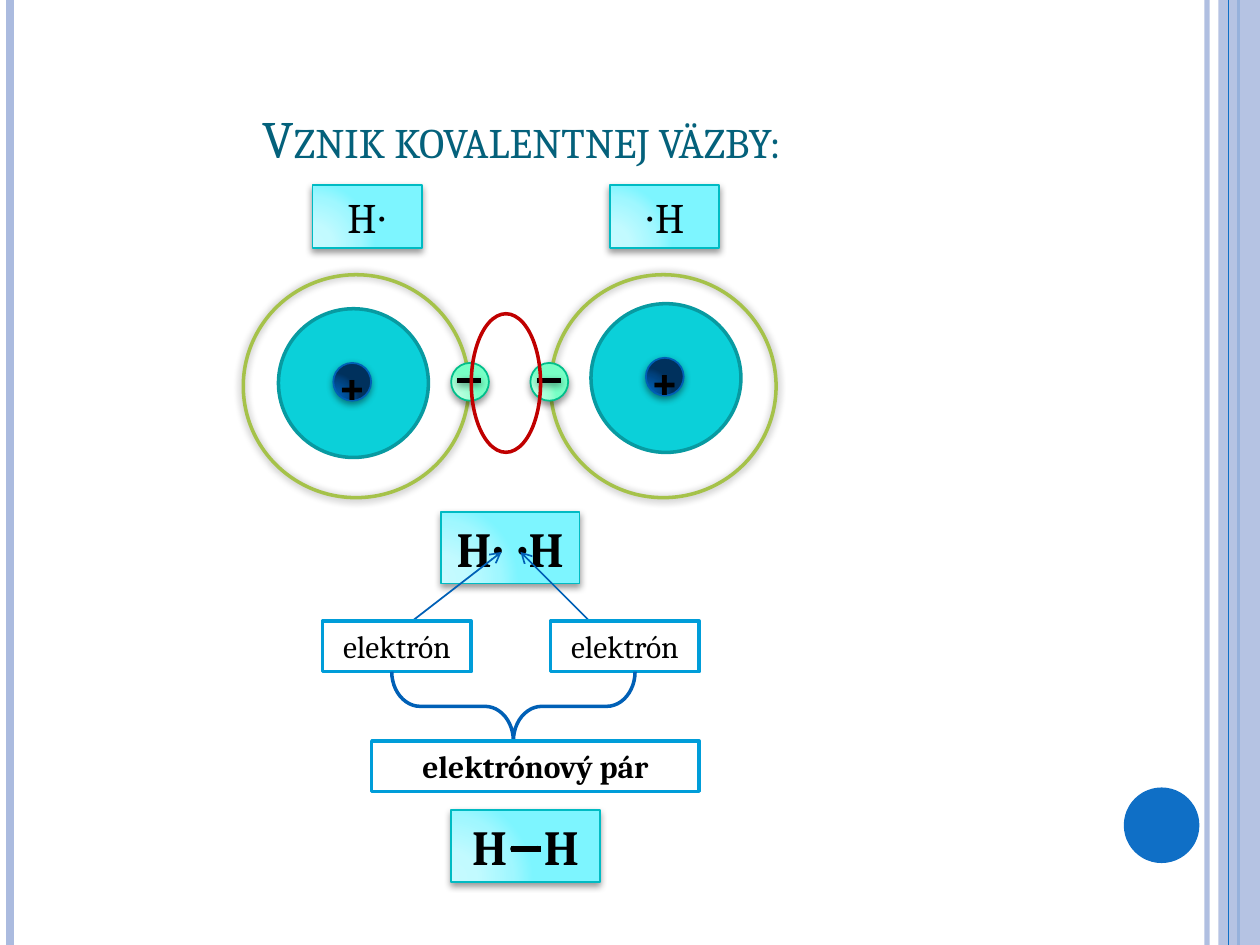
from dataclasses import dataclass
from typing import Any, NamedTuple

from pptx import Presentation
from pptx.dml.color import RGBColor
from pptx.enum.shapes import MSO_CONNECTOR, MSO_SHAPE
from pptx.enum.text import MSO_ANCHOR, MSO_AUTO_SIZE, PP_ALIGN
from pptx.oxml import parse_xml
from pptx.oxml.ns import nsdecls, qn
from pptx.util import Pt

OVAL = MSO_SHAPE.OVAL
RECT = MSO_SHAPE.RECTANGLE
BRACE = MSO_SHAPE.LEFT_BRACE
LINE = MSO_CONNECTOR.STRAIGHT
CENTER = PP_ALIGN.CENTER
TOP = MSO_ANCHOR.TOP
BOTTOM = MSO_ANCHOR.BOTTOM
FIXED = MSO_AUTO_SIZE.NONE


class Shade(NamedTuple):
    alpha: int
    blur: float
    gap: float
    angle: int


class Style(NamedTuple):
    fill: str | tuple[str, ...] | None = None
    line: str | None = None
    width: float = 1
    shade: Shade | None = None


class Piece(NamedTuple):
    text: str
    font: str
    bold: bool = False


class Box(NamedTuple):
    left: float
    top: float
    width: float
    height: float


class Card(NamedTuple):
    box: Box
    style: Style
    size: int
    label: tuple[Piece, ...]


class Stroke(NamedTuple):
    start: tuple[float, float]
    end: tuple[float, float]
    color: str
    width: float
    alpha: int = 100
    arrow: bool = False
    shade: Shade | None = None


class Atom(NamedTuple):
    shell: float
    left: float
    top: float


@dataclass(frozen=True)
class Theme:
    serif: str = "Cambria"
    dots: str = "Times New Roman"
    ink: str = "000000"
    head: str = "04617B"
    pale: str = "ABBBDF"
    blue: str = "0F6FC6"
    wire: str = "0060B6"
    ring: str = "C00000"
    title: int = 30
    large: int = 28
    mid: int = 24
    small: int = 18
    soft: Shade = Shade(42, 4, 1.6, 90)
    drop: Shade = Shade(40, 4, 2, 90)
    glow: Shade = Shade(40, 5, 0, 0)
    stops: tuple[int, ...] = (0, 30, 75, 100)
    core: Style = Style("0BD0D9", "089AA1", 2)
    seed: Style = Style(("005BAE", "0058A8", "00427E", "00315D"), wire, 1, soft)
    shell: Style = Style(None, "A5C249", 2, glow)
    spark: Style = Style(("C4FFE4", "BEFFE1", "9CFFD2", "77FFC5"), "00BF8B", 1, drop)
    aqua: Style = Style(("C7FAFF", "C2FAFF", "A0F7FF", "7DF5FF"), "00BBC3", 1, drop)
    plain: Style = Style("FFFFFF", "009DD9", 2)


THEME = Theme()


def add_shade(props: Any, shade: Shade) -> None:
    props.find(qn("a:effectLst")).append(parse_xml(
        f'<a:outerShdw {nsdecls("a")} blurRad="{Pt(shade.blur)}" dist="{Pt(shade.gap)}" '
        f'dir="{shade.angle * 60000}" rotWithShape="0"><a:srgbClr val="{THEME.ink}">'
        f'<a:alpha val="{shade.alpha * 1000}"/></a:srgbClr></a:outerShdw>'))


def set_alpha(props: Any, alpha: int) -> None:
    color = next(props.iter(qn("a:srgbClr")))
    color.append(parse_xml(f'<a:alpha {nsdecls("a")} val="{alpha * 1000}"/>'))


def add_shape(shapes: Any, kind: Any, box: Box, style: Style) -> Any:
    shape = shapes.add_shape(kind, *map(Pt, box))
    shape.shadow.inherit = False
    shape.fill.background()
    props = shape._element.spPr
    if isinstance(style.fill, str):
        shape.fill.solid()
        shape.fill.fore_color.rgb = RGBColor.from_string(style.fill)
    elif style.fill:
        stops = "".join(f'<a:gs pos="{pos * 1000}"><a:srgbClr val="{color}"/></a:gs>'
                        for pos, color in zip(THEME.stops, style.fill))
        blend = parse_xml(
            f'<a:gradFill {nsdecls("a")} rotWithShape="1"><a:gsLst>{stops}</a:gsLst>'
            '<a:path path="circle"><a:fillToRect l="5000" t="100000" r="120000" b="10000"/>'
            '</a:path></a:gradFill>')
        props.replace(props.find(qn("a:noFill")), blend)
    if style.line:
        shape.line.color.rgb = RGBColor.from_string(style.line)
        shape.line.width = Pt(style.width)
    else:
        shape.line.fill.background()
    if style.shade:
        add_shade(props, style.shade)
    return shape


def add_line(shapes: Any, stroke: Stroke) -> None:
    line = shapes.add_connector(LINE, *map(Pt, stroke.start + stroke.end))
    line.line.color.rgb = RGBColor.from_string(stroke.color)
    line.line.width = Pt(stroke.width)
    props = line._element.spPr
    if stroke.alpha < 100:
        set_alpha(props, stroke.alpha)
    if stroke.arrow:
        props.find(qn("a:ln")).append(parse_xml(f'<a:tailEnd {nsdecls("a")} type="arrow"/>'))
    props.append(parse_xml(f'<a:effectLst {nsdecls("a")}/>'))
    if stroke.shade:
        add_shade(props, stroke.shade)


def write(frame: Any, label: tuple[Piece, ...], size: int, color: str, anchor: Any = TOP) -> None:
    frame.word_wrap = True
    frame.auto_size = FIXED
    frame.vertical_anchor = anchor
    para = frame.paragraphs[0]
    para.alignment = CENTER
    for piece in label:
        run = para.add_run()
        run.text = piece.text
        run.font.name = piece.font
        run.font.size = Pt(size)
        run.font.bold = piece.bold
        run.font.color.rgb = RGBColor.from_string(color)


def add_card(shapes: Any, card: Card) -> None:
    shape = add_shape(shapes, RECT, card.box, card.style)
    write(shape.text_frame, card.label, card.size, THEME.ink)


def add_atom(shapes: Any, atom: Atom) -> None:
    group = shapes.add_group_shape().shapes
    add_shape(group, OVAL, Box(atom.left, atom.top, 85.7, 85), THEME.core)
    add_shape(group, OVAL, Box(atom.left + 31.4, atom.top + 31, 21.6, 21.6), THEME.seed)
    sign = group.add_textbox(*map(Pt, (atom.left + 22.7, atom.top + 23, 38.9, 41)))
    write(sign.text_frame, (Piece("+", THEME.serif, True),), THEME.large, THEME.ink)
    add_shape(group, OVAL, Box(atom.shell, 157, 128.9, 127.4), THEME.shell)


def add_spark(shapes: Any, left: float) -> None:
    group = shapes.add_group_shape().shapes
    add_shape(group, OVAL, Box(left, 207.4, 21.6, 21.6), THEME.spark)
    add_line(group, Stroke((left + 3.6, 217.4), (left + 17.3, 217.4), THEME.ink, 2.75,
                           shade=THEME.soft))


def add_frame(shapes: Any) -> None:
    for left, color, width, alpha in ((689.8, THEME.pale, 3, 93), (5.8, THEME.pale, 4.5, 100),
                                      (707.8, THEME.blue, 1.5, 100)):
        add_line(shapes, Stroke((left, 0), (left, 540), color, width, alpha))
    band = add_shape(shapes, RECT, Box(696.2, 0, 23.8, 540), Style(THEME.pale))
    set_alpha(band._element.spPr, 87)
    add_line(shapes, Stroke((702, 0), (702, 540), THEME.blue, 0.75))
    add_shape(shapes, OVAL, Box(642.2, 450, 43.2, 43.2), Style(THEME.blue))


def main() -> None:
    deck = Presentation()
    deck.slide_width, deck.slide_height = Pt(720), Pt(540)
    shapes = deck.slides.add_slide(deck.slide_layouts[5]).shapes
    add_frame(shapes)

    title = shapes.title
    title.left, title.top, title.width, title.height = map(Pt, (25.2, 43.2, 545.8, 56.9))
    write(title.text_frame, (Piece("Vznik kovalentnej väzby:", THEME.serif),),
          THEME.title, THEME.head, BOTTOM)
    title.text_frame.paragraphs[0].runs[0]._r.get_or_add_rPr().set("cap", "small")

    for atom in (Atom(139, 159.1, 176.4), Atom(314.6, 337.7, 173.5)):
        add_atom(shapes, atom)
    for left in (257.8, 303.1):
        add_spark(shapes, left)

    light, dot = Piece("H", THEME.serif), Piece("∙", THEME.dots)
    heavy, pair = Piece("H", THEME.serif, True), Piece("∙ ∙", THEME.dots, True)
    thin = Piece("∙ ∙", THEME.dots)
    for left, label in ((178.6, (light, dot)), (348.5, (dot, light))):
        add_card(shapes, Card(Box(left, 105.8, 62.6, 36), THEME.aqua, THEME.mid, label))
    add_card(shapes, Card(Box(252, 292.5, 79.2, 41), THEME.aqua, THEME.large, (heavy, pair, heavy)))

    for start, end in (((235.4, 355), (286.6, 315.4)), ((342.7, 360.7), (297.4, 315.4))):
        add_line(shapes, Stroke(start, end, THEME.wire, 1, arrow=True))
    for left in (184.3, 314.6):
        add_card(shapes, Card(Box(left, 355, 85, 28.8), THEME.plain, THEME.small,
                              (Piece("elektrón", THEME.serif),)))
    brace = add_shape(shapes, BRACE, Box(273.6, 334.1, 39.6, 139), Style(None, THEME.wire, 2))
    brace.adjustments[0] = 0.41
    brace.rotation = 270

    add_card(shapes, Card(Box(212.4, 423.4, 187.2, 28.8), THEME.plain, THEME.small,
                          (Piece("elektrónový pár", THEME.serif, True),)))
    add_card(shapes, Card(Box(257.8, 463, 85, 41), THEME.aqua, THEME.large, (heavy, thin, heavy)))
    add_line(shapes, Stroke((292.3, 485.3), (308.9, 485.3), THEME.ink, 3.25))
    add_shape(shapes, OVAL, Box(269.3, 179.3, 39.6, 79.2), Style(None, THEME.ring, 2))
    deck.save("out.pptx")


if __name__ == "__main__":
    main()
